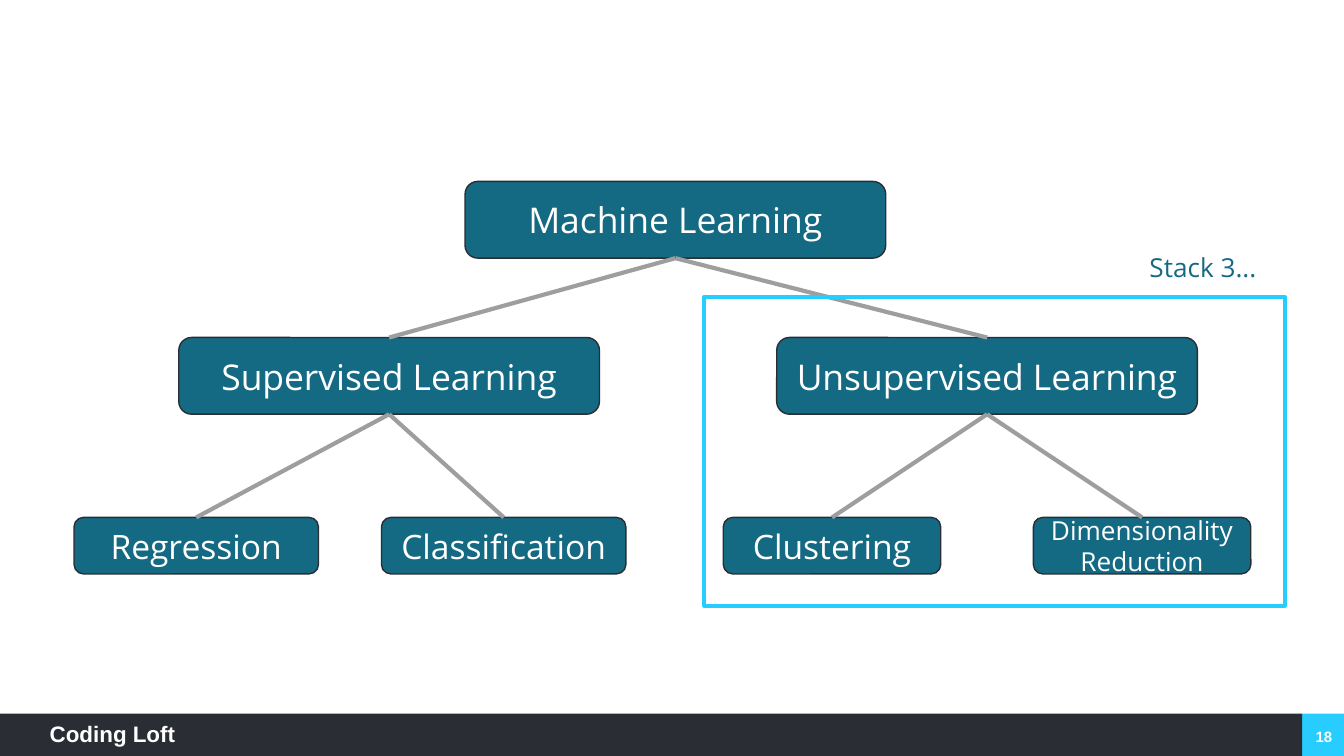
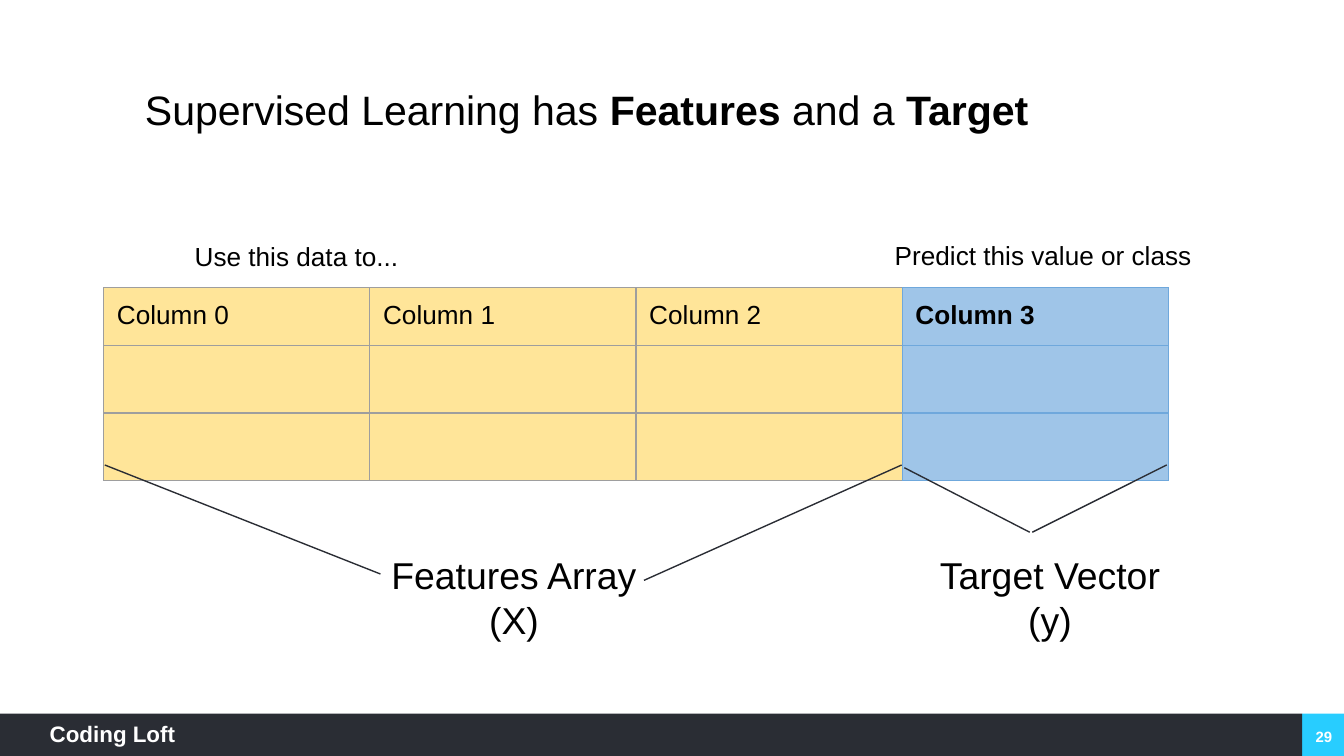
from lxml.etree import SubElement
from pptx import Presentation
from pptx.dml.color import RGBColor
from pptx.enum.shapes import MSO_CONNECTOR as Connector, MSO_SHAPE as Shape
from pptx.enum.text import MSO_ANCHOR as Anchor, MSO_AUTO_SIZE as AutoSize, PP_ALIGN as Align
from pptx.oxml.ns import qn
from pptx.util import Cm, Pt

WHITE = RGBColor(0xFF, 0xFF, 0xFF)
BLACK = RGBColor(0x00, 0x00, 0x00)
DARK = RGBColor(0x2A, 0x2D, 0x34)
CYAN = RGBColor(0x28, 0xCD, 0xFF)
TEAL = RGBColor(0x14, 0x69, 0x83)
GRAY = RGBColor(0x9E, 0x9E, 0x9E)
YELLOW = RGBColor(0xFF, 0xE5, 0x99)
LIGHT_BLUE = RGBColor(0x9F, 0xC5, 0xE8)
BLUE = RGBColor(0x6F, 0xA8, 0xDC)

BODY_FONT = "Arial"
TREE_FONT = "Open Sans"
INSET = 0.25
TITLE_ONLY, BLANK = 5, 6


def write_text(frame, text, size=14, font=BODY_FONT, color=BLACK, bold=False,
               align=Align.LEFT, anchor=Anchor.TOP, insets=(INSET, INSET)):
    frame.word_wrap = True
    frame.auto_size = AutoSize.NONE
    frame.vertical_anchor = anchor
    frame.margin_left = frame.margin_right = Cm(insets[0])
    frame.margin_top = frame.margin_bottom = Cm(insets[1])
    paragraph = frame.paragraphs[0]
    paragraph.alignment = align
    for index, part in enumerate(text.split("**")):
        run = paragraph.add_run()
        run.text = part
        run.font.size = Pt(size)
        run.font.name = font
        run.font.bold = bold or index % 2 == 1
        run.font.color.rgb = color


def add_label(slide, text, left, top, width, height, **style):
    label = slide.shapes.add_textbox(Cm(left), Cm(top), Cm(width), Cm(height))
    write_text(label.text_frame, text, **style)


def add_box(slide, left, top, width, height, kind=Shape.RECTANGLE,
            fill=None, line=None, line_width=0.75):
    box = slide.shapes.add_shape(kind, Cm(left), Cm(top), Cm(width), Cm(height))
    box.shadow.inherit = False
    if fill is None:
        box.fill.background()
    else:
        box.fill.solid()
        box.fill.fore_color.rgb = fill
    if line is None:
        box.line.fill.background()
    else:
        box.line.color.rgb = line
        box.line.width = Pt(line_width)
    return box


def add_line(slide, start=(0, 0), end=(0, 0), color=DARK, width=0.75):
    points = [Cm(value) for value in (*start, *end)]
    line = slide.shapes.add_connector(Connector.STRAIGHT, *points)
    line.line.color.rgb = color
    line.line.width = Pt(width)
    SubElement(line._element.spPr, qn("a:effectLst"))
    return line


def add_node(slide, text, left, top, width, height, size, parent=None):
    node = add_box(slide, left, top, width, height, Shape.ROUNDED_RECTANGLE, TEAL, DARK)
    write_text(node.text_frame, text, size=size, font=TREE_FONT, color=WHITE,
               align=Align.CENTER, anchor=Anchor.MIDDLE)
    if parent is not None:
        branch = add_line(slide, color=GRAY, width=2.25)
        branch.begin_connect(parent, 2)
        branch.end_connect(node, 0)
    return node


def set_border(cell, side, color):
    properties = cell._tc.get_or_add_tcPr()
    border = SubElement(properties, qn(f"a:ln{side}"), w=str(Pt(0.75)))
    fill = SubElement(border, qn("a:solidFill"))
    SubElement(fill, qn("a:srgbClr"), val=str(color))


def add_data_table(slide, headers, left, top, column_width, row_heights):
    frame = slide.shapes.add_table(
        len(row_heights), len(headers), Cm(left), Cm(top),
        Cm(column_width * len(headers)), Cm(sum(row_heights)))
    table = frame.table
    table.first_row = table.horz_banding = False
    for column in table.columns:
        column.width = Cm(column_width)
    target = len(headers) - 1
    for row_index, height in enumerate(row_heights):
        table.rows[row_index].height = Cm(height)
        for column_index, header in enumerate(headers):
            cell = table.cell(row_index, column_index)
            is_target = column_index == target
            cell.margin_left = cell.margin_right = Cm(INSET)
            cell.margin_top = cell.margin_bottom = Cm(INSET)
            if row_index == 0:
                write_text(cell.text_frame, header, bold=is_target)
            for side in "LRTB":
                touches_target = side == "R" and column_index == target - 1
                set_border(cell, side, BLUE if is_target or touches_target else GRAY)
            cell.fill.solid()
            cell.fill.fore_color.rgb = LIGHT_BLUE if is_target else YELLOW


def add_slide(presentation, layout, number):
    slide = presentation.slides.add_slide(presentation.slide_layouts[layout])
    add_box(slide, 24.61, 13.49, 0.79, 0.8, fill=CYAN)
    add_box(slide, 0, 13.49, 24.61, 0.8, fill=DARK)
    add_label(slide, "Coding Loft", 0.94, 13.61, 3.99, 0.58,
              size=12, color=WHITE, bold=True, insets=(0, 0))
    add_label(slide, str(number), 24.64, 13.54, 0.76, 0.76, size=8, color=WHITE,
              bold=True, align=Align.CENTER, anchor=Anchor.MIDDLE, insets=(0.18, 0.1))
    return slide


def build_learning_tree(presentation):
    slide = add_slide(presentation, BLANK, 18)
    root = add_node(slide, "Machine Learning", 8.79, 3.43, 7.95, 1.45, 19)
    branches = [
        ("Supervised Learning", 3.38, 4.62,
         [("Regression", 1.4, 18), ("Classification", 7.21, 18)]),
        ("Unsupervised Learning", 14.68, 4.11,
         [("Clustering", 13.67, 18), ("Dimensionality Reduction", 19.53, 14)]),
    ]
    for name, left, leaf_width, leaves in branches:
        branch = add_node(slide, name, left, 6.38, 7.95, 1.45, 19, root)
        for leaf, leaf_left, size in leaves:
            add_node(slide, leaf, leaf_left, 9.78, leaf_width, 1.07, size, branch)
    add_box(slide, 13.31, 5.61, 10.97, 5.84, line=CYAN, line_width=2.25)
    add_label(slide, "Stack 3...", 19.53, 4.5, 4.47, 1.12,
              font=TREE_FONT, color=TEAL, align=Align.RIGHT)


def build_features_and_target(presentation):
    slide = add_slide(presentation, TITLE_ONLY, 29)
    title = slide.shapes.title
    title.left, title.top, title.width, title.height = Cm(2.49), Cm(1.35), Cm(18.59), Cm(2.06)
    write_text(title.text_frame, "Supervised Learning has **Features **and a **Target**", size=22)
    headers = [f"Column {index}" for index in range(4)]
    add_data_table(slide, headers, 1.96, 5.44, 5.03, [1.09, 1.27, 1.27])
    for text, left in (("Features Array (X)", 6.91), ("Target Vector (y)", 17.04)):
        add_label(slide, text, left, 10.19, 5.61, 2.24, size=20, align=Align.CENTER)
    for start, end in (
        ((1.98, 8.79), (7.19, 10.85)),
        ((17.04, 8.79), (12.17, 10.97)),
        ((17.09, 8.84), (19.46, 10.06)),
        ((22.05, 8.79), (19.51, 10.06)),
    ):
        add_line(slide, start, end)
    add_label(slide, "Use this data to...", 3.43, 4.29, 10.82, 1.12)
    add_label(slide, "Predict this value or class", 16.66, 4.27, 6.38, 1.12)


def main():
    presentation = Presentation()
    presentation.slide_width = Cm(25.4)
    presentation.slide_height = Cm(14.29)
    build_learning_tree(presentation)
    build_features_and_target(presentation)
    presentation.save("out.pptx")


if __name__ == "__main__":
    main()
